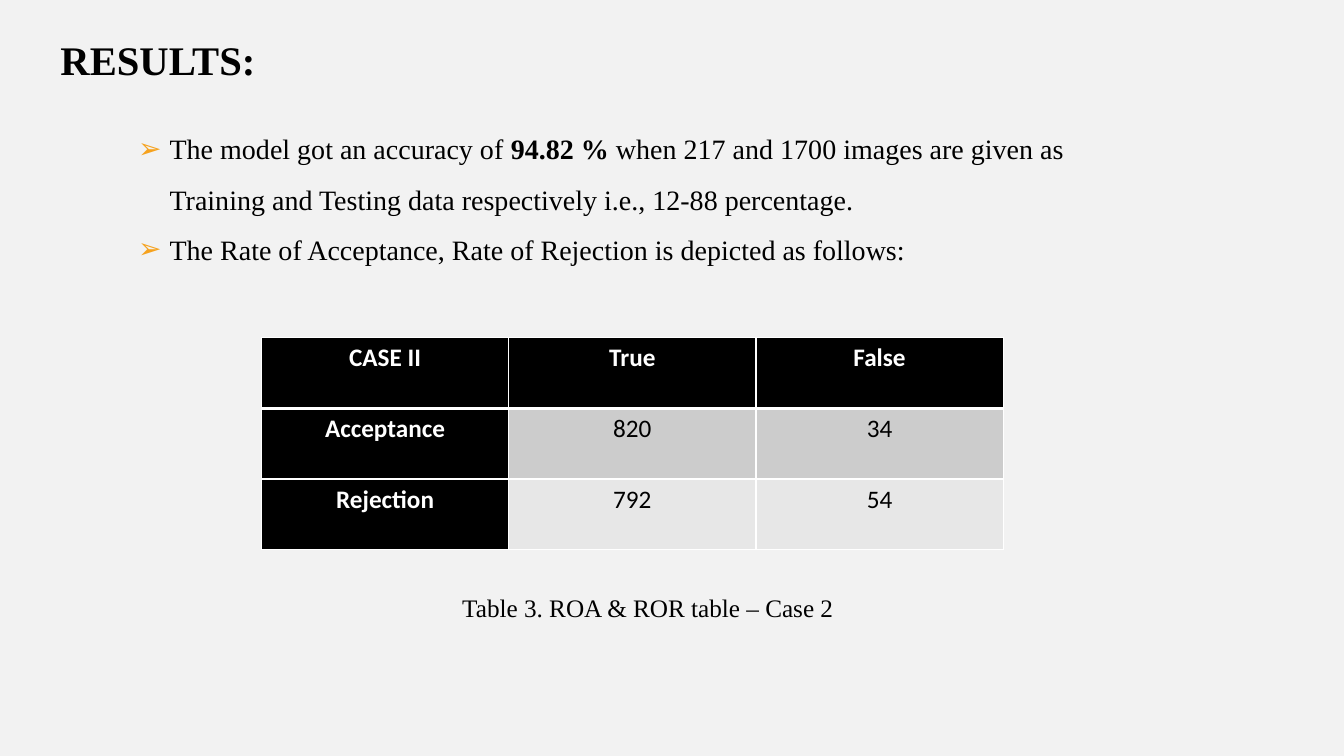
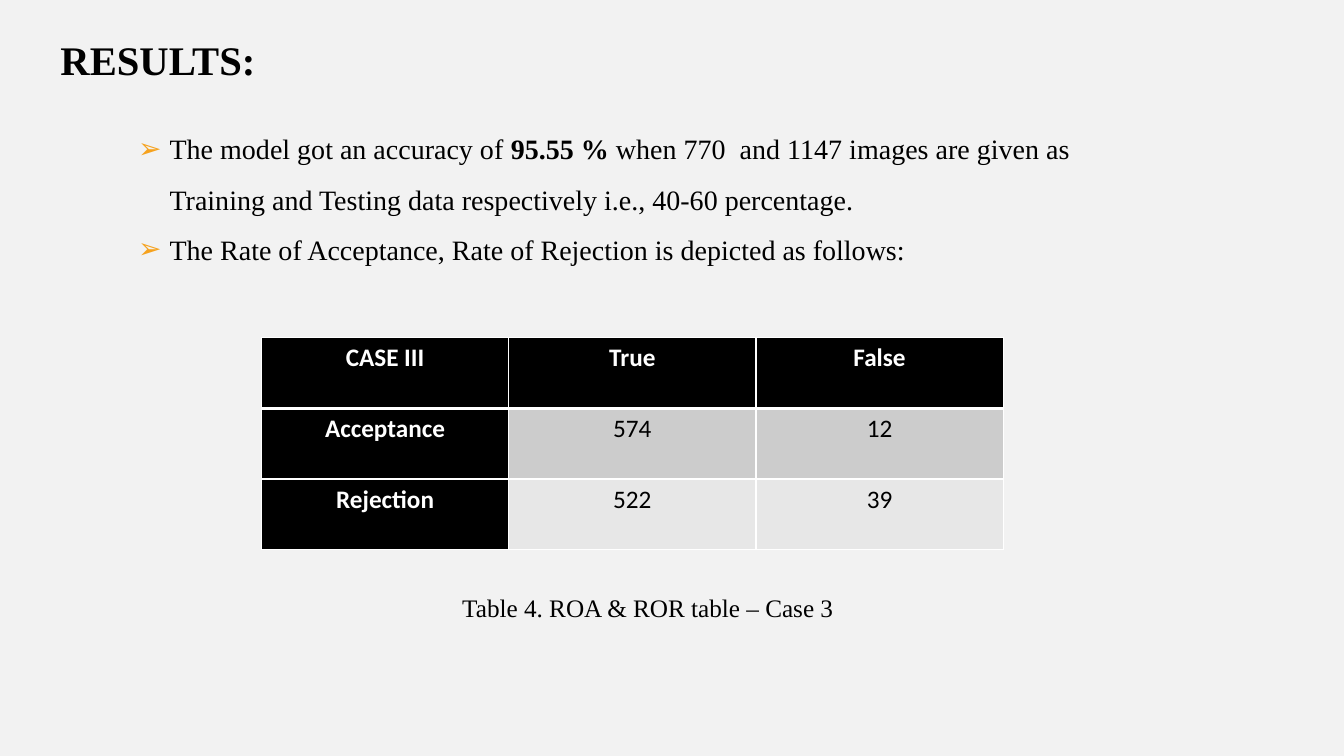
from collections import namedtuple
from dataclasses import dataclass

from lxml.etree import SubElement
from pptx import Presentation
from pptx.dml.color import RGBColor
from pptx.enum.text import MSO_ANCHOR as Anchor, MSO_AUTO_SIZE as AutoSize, PP_ALIGN as Align
from pptx.oxml.ns import qn
from pptx.util import Cm, Pt

Box = namedtuple("Box", "left top width height")
Case = namedtuple("Case", "accuracy split number numeral table_number acceptance rejection")


@dataclass(frozen=True)
class Theme:
    background: str = "F2F2F2"
    ink: str = "000000"
    paper: str = "FFFFFF"
    accent: str = "F6A21D"
    bands: tuple = ("CCCCCC", "E7E7E7")
    serif: str = "Times New Roman"
    sans: str = "Calibri"
    title_size: int = 29
    body_size: int = 20
    small_size: int = 18
    thin_line: int = 1
    thick_line: int = 3


THEME = Theme()
TITLE_BOX = Box(Cm(1.27), Cm(0.76), Cm(13.39), Cm(1.5))
BODY_BOX = Box(Cm(3.23), Cm(2.77), Cm(25.43), Cm(5.4))
TABLE_BOX = Box(Cm(6.59), Cm(8.51), Cm(18.69), Cm(5.34))
CAPTION_BOX = Box(Cm(11.4), Cm(14.81), Cm(10.08), Cm(1.8))

CASES = [
    Case("94.82 %", ("217", "1700", "12-88"), 2, "II", 3, ("820", "34"), ("792", "54")),
    Case("95.55 %", ("770 ", "1147", "40-60"), 3, "III", 4, ("574", "12"), ("522", "39")),
]


def set_all(target, **values):
    for name, value in values.items():
        setattr(target, name, value)


def add_run(paragraph, text, size, font=THEME.serif, color=THEME.ink, bold=False):
    run = paragraph.add_run()
    run.text = text
    set_all(run.font, name=font, size=Pt(size), bold=bold)
    run.font.color.rgb = RGBColor.from_string(color)


def place_text(shape, box):
    set_all(shape, **box._asdict())
    set_all(shape.text_frame, word_wrap=True, auto_size=AutoSize.NONE,
            vertical_anchor=Anchor.TOP)
    return shape.text_frame


def fill_title(shape, box):
    paragraph = place_text(shape, box).paragraphs[0]
    paragraph.alignment = Align.LEFT
    add_run(paragraph, "RESULTS:", THEME.title_size, bold=True)


def set_bullet(paragraph):
    properties = paragraph._p.get_or_add_pPr()
    set_all(paragraph, line_spacing=1.5, space_before=Pt(0))
    properties.set("marL", str(Cm(0.79)))
    properties.set("indent", str(-Cm(0.79)))
    color = SubElement(properties, qn("a:buClr"))
    SubElement(color, qn("a:srgbClr"), val=THEME.accent)
    SubElement(properties, qn("a:buChar"), char="➢")


def fill_body(shape, box, case):
    training, testing, percentage = case.split
    items = [
        [("The model got an accuracy of ", False),
         (f"{case.accuracy} ", True),
         (f"when {training} and {testing} images are given as Training and Testing data "
          f"respectively i.e., {percentage} percentage.", False)],
        [("The Rate of Acceptance, Rate of Rejection is depicted as follows:", False)],
    ]
    frame = place_text(shape, box)
    for index, item in enumerate(items):
        paragraph = frame.add_paragraph() if index else frame.paragraphs[0]
        set_bullet(paragraph)
        for text, bold in item:
            add_run(paragraph, text, THEME.body_size, bold=bold)


def set_borders(cell, row):
    widths = {
        "lnL": THEME.thin_line,
        "lnR": THEME.thin_line,
        "lnT": THEME.thick_line if row == 1 else THEME.thin_line,
        "lnB": THEME.thick_line if row == 0 else THEME.thin_line,
    }
    properties = cell._tc.get_or_add_tcPr()
    for edge, width in widths.items():
        line = SubElement(properties, qn(f"a:{edge}"), w=str(Pt(width)))
        fill = SubElement(line, qn("a:solidFill"))
        SubElement(fill, qn("a:srgbClr"), val=THEME.paper)


def add_rate_table(slide, box, case):
    rows = [
        (f"CASE {case.numeral}", "True", "False"),
        ("Acceptance", *case.acceptance),
        ("Rejection", *case.rejection),
    ]
    table = slide.shapes.add_table(len(rows), len(rows[0]), *box).table
    for row, texts in enumerate(rows):
        for column, text in enumerate(texts):
            heading = row == 0 or column == 0
            cell = table.cell(row, column)
            set_borders(cell, row)
            cell.fill.solid()
            fill_color = THEME.ink if heading else THEME.bands[row - 1]
            cell.fill.fore_color.rgb = RGBColor.from_string(fill_color)
            paragraph = cell.text_frame.paragraphs[0]
            paragraph.alignment = Align.CENTER
            add_run(paragraph, text, THEME.small_size, THEME.sans,
                    THEME.paper if heading else THEME.ink, heading)


def add_caption(slide, box, case):
    frame = place_text(slide.shapes.add_textbox(*box), box)
    add_run(frame.paragraphs[0],
            f"Table {case.table_number}. ROA & ROR table – Case {case.number}",
            THEME.small_size)


def add_results_slide(presentation, case):
    slide = presentation.slides.add_slide(presentation.slide_layouts[1])
    fill_title(slide.shapes.title, TITLE_BOX)
    fill_body(slide.placeholders[1], BODY_BOX, case)
    add_rate_table(slide, TABLE_BOX, case)
    add_caption(slide, CAPTION_BOX, case)


def main():
    presentation = Presentation()
    set_all(presentation, slide_width=Cm(33.87), slide_height=Cm(19.05))
    background = presentation.slide_master.background.fill
    background.solid()
    background.fore_color.rgb = RGBColor.from_string(THEME.background)
    for case in CASES:
        add_results_slide(presentation, case)
    presentation.save("out.pptx")


if __name__ == "__main__":
    main()
